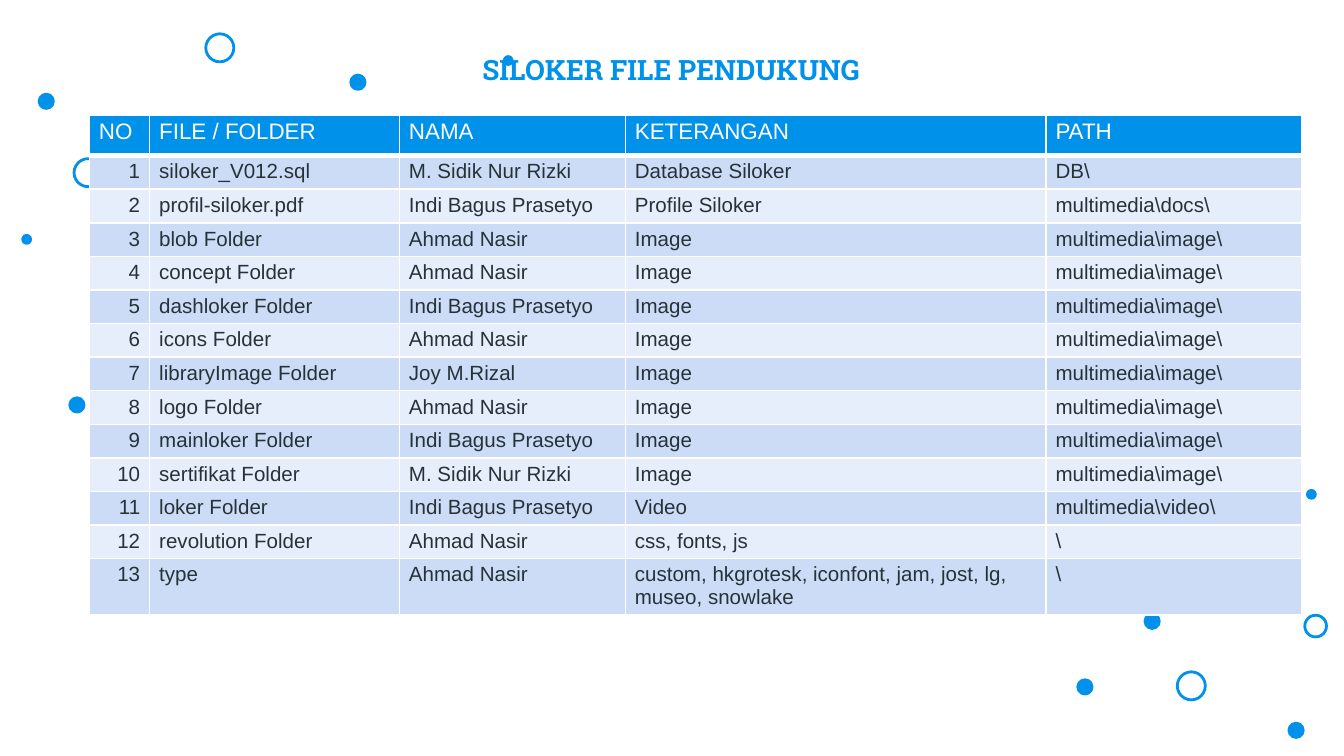
from lxml import etree
from pptx import Presentation
from pptx.dml.color import RGBColor
from pptx.enum.shapes import MSO_SHAPE
from pptx.enum.text import MSO_ANCHOR, PP_ALIGN
from pptx.oxml.ns import qn
from pptx.util import Cm, Pt

ELLIPSE = MSO_SHAPE.OVAL
MIDDLE = MSO_ANCHOR.MIDDLE
LEFT, CENTER, RIGHT = PP_ALIGN.LEFT, PP_ALIGN.CENTER, PP_ALIGN.RIGHT

# Diameter, filled or not, and the left and top of each circle, in cm
CIRCLES = [
    (0.27, True, [(20.37, 12.85), (21.64, 11.61), (24.36, 13.67),
                  (6.63, 1.42), (1.32, 7.52), (0.74, 1.78)]),
    (0.15, True, [(24.71, 9.27), (0.43, 4.45), (9.53, 1.07)]),
    (0.53, False, [(1.4, 3), (3.89, 0.64), (22.25, 12.7)]),
    (0.41, False, [(24.66, 11.63)]),
]

HEADINGS = ["NO", "FILE / FOLDER", "NAMA", "KETERANGAN", "PATH"]
SIDIK, INDI, AHMAD = "M. Sidik Nur Rizki", "Indi Bagus Prasetyo", "Ahmad Nasir"
IMAGE = ("Image", "multimedia\\image\\")
FILES = [
    ("siloker_V012.sql", SIDIK, "Database Siloker", "DB\\"),
    ("profil-siloker.pdf", INDI, "Profile Siloker", "multimedia\\docs\\"),
    ("blob Folder", AHMAD, *IMAGE),
    ("concept Folder", AHMAD, *IMAGE),
    ("dashloker Folder", INDI, *IMAGE),
    ("icons Folder", AHMAD, *IMAGE),
    ("libraryImage Folder", "Joy M.Rizal", *IMAGE),
    ("logo Folder", AHMAD, *IMAGE),
    ("mainloker Folder", INDI, *IMAGE),
    ("sertifikat Folder", SIDIK, *IMAGE),
    ("loker Folder", INDI, "Video", "multimedia\\video\\"),
    ("revolution Folder", AHMAD, "css, fonts, js", "\\"),
    ("type", AHMAD,
     "custom, hkgrotesk, iconfont, jam, jost, lg, museo, snowlake", "\\"),
]
COLUMN_WIDTHS = [1.14, 4.72, 4.27, 7.95, 4.83]
ROW_HEIGHTS = [0.77] + [7.62 / 12] * 12 + [1.07]


def color(value):
    return RGBColor.from_string(value)


class Page:
    blue, white, ink = "0091EA", "FFFFFF", "263238"
    bands = ("CCDCF7", "E7EEFB")
    title_font, body_font = "Roboto Slab", "Arial"

    def __init__(self, deck):
        self.slide = deck.slides.add_slide(deck.slide_layouts[6])
        self.slide.background.fill.solid()
        self.slide.background.fill.fore_color.rgb = color(self.white)

    def circle(self, left, top, diameter, filled):
        shape = self.slide.shapes.add_shape(
            ELLIPSE, Cm(left), Cm(top), Cm(diameter), Cm(diameter))
        shape.shadow.inherit = False
        if filled:
            shape.fill.solid()
            shape.fill.fore_color.rgb = color(self.blue)
        else:
            shape.fill.background()
        shape.line.color.rgb = color(self.blue)
        shape.line.width = Pt(1.5)

    def add_text(self, frame, text, size, font, ink, align=LEFT, bold=False):
        para = frame.paragraphs[0]
        para.alignment = align
        span = para.add_run()
        span.text = text
        span.font.size = Pt(size)
        span.font.name = font
        span.font.bold = bold
        span.font.color.rgb = color(ink)

    def title(self, text, left, top, width, height):
        box = self.slide.shapes.add_textbox(
            Cm(left), Cm(top), Cm(width), Cm(height))
        frame = box.text_frame
        frame.word_wrap = True
        frame.vertical_anchor = MIDDLE
        self.add_text(frame, text, 15, self.title_font, self.blue, CENTER, True)

    def borders(self, cell, bottom):
        """Draw white cell borders, 1 pt wide except for the bottom one."""
        properties = cell._tc.get_or_add_tcPr()
        widths = {"a:lnL": 1, "a:lnR": 1, "a:lnT": 1, "a:lnB": bottom}
        for place, (tag, width) in enumerate(widths.items()):
            line = etree.Element(qn(tag), w=str(Pt(width)))
            fill = etree.SubElement(line, qn("a:solidFill"))
            etree.SubElement(fill, qn("a:srgbClr"), val=self.white)
            properties.insert(place, line)

    def cell(self, cell, text, row, column):
        header = row == 0
        cell.margin_left = cell.margin_right = Cm(0.18)
        cell.margin_top = cell.margin_bottom = Cm(0.09)
        cell.fill.solid()
        fill = self.blue if header else self.bands[(row - 1) % 2]
        cell.fill.fore_color.rgb = color(fill)
        self.borders(cell, 3 if header else 1)
        self.add_text(cell.text_frame, text, 12 if header else 11,
                      self.body_font, self.white if header else self.ink,
                      RIGHT if column == 0 and not header else LEFT)

    def table(self, left, top, rows):
        table = self.slide.shapes.add_table(
            len(rows), len(COLUMN_WIDTHS), Cm(left), Cm(top),
            Cm(sum(COLUMN_WIDTHS)), Cm(sum(ROW_HEIGHTS))).table
        for column, width in zip(table.columns, COLUMN_WIDTHS):
            column.width = Cm(width)
        for row, height in zip(table.rows, ROW_HEIGHTS):
            row.height = Cm(height)
        for r, texts in enumerate(rows):
            for c, text in enumerate(texts):
                self.cell(table.cell(r, c), text, r, c)


def main():
    deck = Presentation()
    deck.slide_width, deck.slide_height = Cm(25.4), Cm(14.29)
    page = Page(deck)
    for diameter, filled, places in CIRCLES:
        for left, top in places:
            page.circle(left, top, diameter, filled)
    numbered = [(str(number), *file) for number, file in enumerate(FILES, 1)]
    page.table(1.69, 2.17, [HEADINGS] + numbered)
    page.title("SILOKER FILE PENDUKUNG", 4.62, 0.81, 16.13, 1.02)
    deck.save("out.pptx")


if __name__ == "__main__":
    main()
